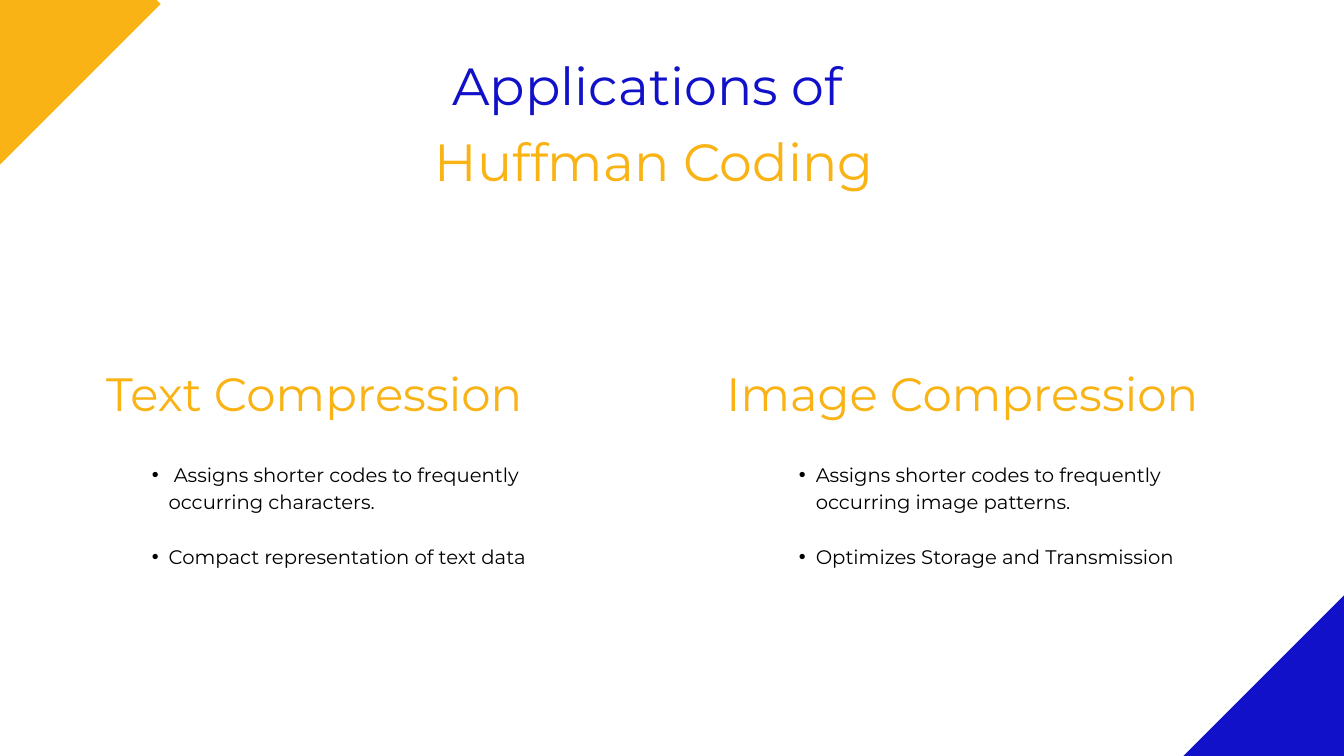
from pptx import Presentation
from pptx.dml.color import RGBColor
from pptx.enum.shapes import MSO_SHAPE as Shape
from pptx.oxml.ns import qn
from pptx.util import Inches, Pt
from lxml.etree import SubElement

YELLOW, BLUE, BLACK = "F9B314", "1211CA", "000000"


def color(value):
    return RGBColor.from_string(value)


def add_text(left, top, width, height, lines, size, spacing, text_color):
    frame = slide.shapes.add_textbox(
        Inches(left), Inches(top), Inches(width), Inches(height)).text_frame
    margins = dict.fromkeys(
        ("margin_left", "margin_top", "margin_right", "margin_bottom"), 0)
    for name, value in {"word_wrap": True, **margins}.items():
        setattr(frame, name, value)
    for index, line in enumerate(lines):
        paragraph = frame.add_paragraph() if index else frame.paragraphs[0]
        paragraph.line_spacing = Pt(spacing)
        run = paragraph.add_run()
        run.text = line
        for name, value in {"name": "Montserrat", "size": Pt(size)}.items():
            setattr(run.font, name, value)
        run.font.color.rgb = color(text_color)
    return frame.paragraphs


presentation = Presentation()
presentation.slide_width = Inches(20)
presentation.slide_height = Inches(11.25)
slide = presentation.slides.add_slide(presentation.slide_layouts[6])
slide.background.fill.solid()
slide.background.fill.fore_color.rgb = color("FFFFFF")

for left, top, fill_color in [(-1.69, -1.63, YELLOW), (18.31, 9.56, BLUE)]:
    corner = slide.shapes.add_shape(
        Shape.RECTANGLE, Inches(left), Inches(top), Inches(3.38), Inches(3.38))
    corner.rotation = 45
    corner.shadow.inherit = False
    corner.fill.solid()
    corner.fill.fore_color.rgb = color(fill_color)
    corner.line.fill.background()

add_text(6.73, 0.99, 6.55, 0.78, ["Applications of"], 56, 52.6, BLUE)
add_text(6.47, 2.13, 7.05, 0.78, ["Huffman Coding"], 56, 52.6, YELLOW)

columns = [
    (1.58, 6.83, "Text Compression", 2.01,
     [" Assigns shorter codes to frequently occurring characters.",
      "Compact representation of text data"]),
    (10.81, 7.62, "Image Compression", 11.64,
     ["Assigns shorter codes to frequently occurring image patterns.",
      "Optimizes Storage and Transmission"]),
]
for heading_left, heading_width, heading, list_left, points in columns:
    add_text(heading_left, 5.61, heading_width, 0.69, [heading], 50, 47, YELLOW)
    paragraphs = add_text(list_left, 6.83, 5.96, 1.61, points, 21, 29.4, BLACK)
    paragraphs[1].space_before = Pt(29.4)
    for paragraph in paragraphs:
        paragraph.level = 1
        properties = paragraph._p.get_or_add_pPr()
        properties.set("marL", str(Inches(0.5)))
        properties.set("indent", str(Inches(-0.25)))
        SubElement(properties, qn("a:buFont"), typeface="Arial")
        SubElement(properties, qn("a:buChar"), char="•")

presentation.save("out.pptx")
